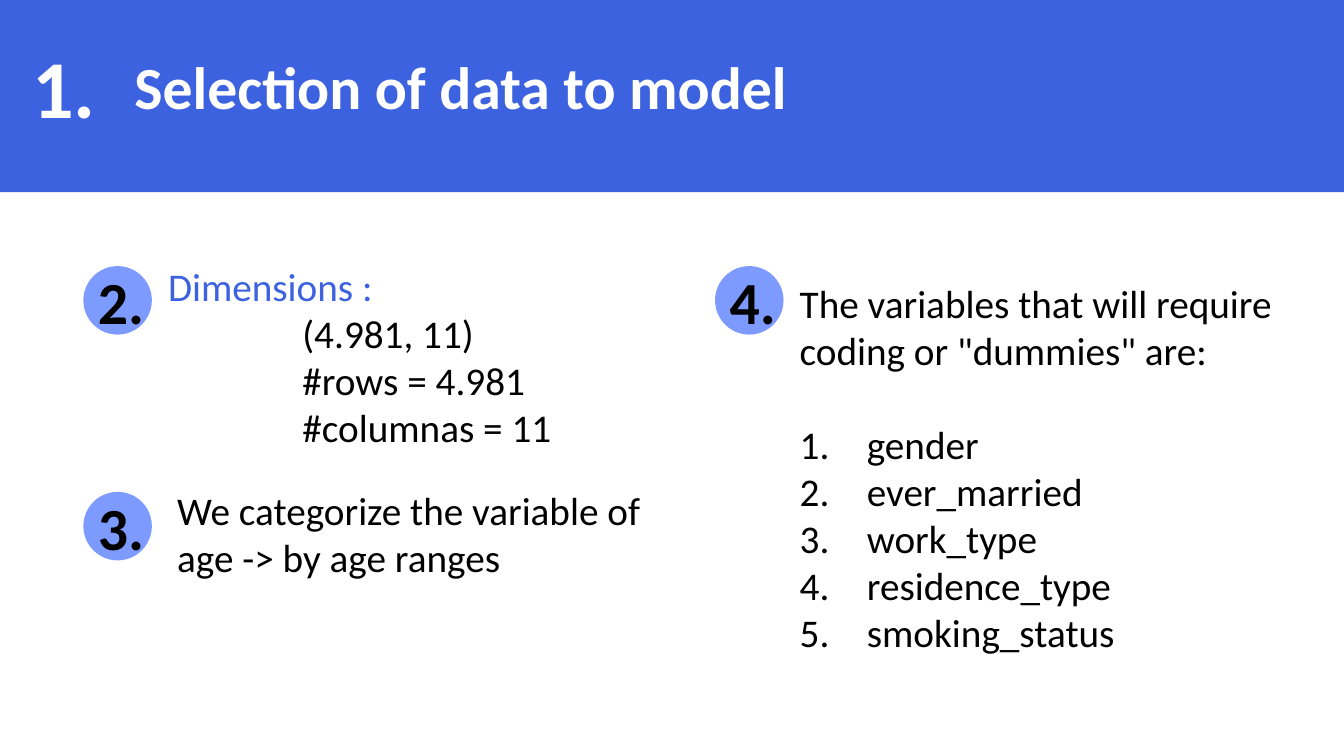
from lxml import etree
from pptx import Presentation
from pptx.dml.color import RGBColor
from pptx.enum.shapes import MSO_SHAPE as SHAPE
from pptx.enum.text import MSO_ANCHOR as ANCHOR, MSO_AUTO_SIZE as AUTO, PP_ALIGN as ALIGN
from pptx.oxml.ns import qn
from pptx.util import Inches, Pt

BLUE, LIGHT_BLUE, WHITE, BLACK = "3C62E0", "7D9AFF", "FFFFFF", "000000"

prs = Presentation()
prs.slide_width, prs.slide_height = Inches(10), Inches(10 * 9 / 16)
s = prs.slides.add_slide(prs.slide_layouts[3])  # Two Content


def add_filled(kind, x, y, w, h, color):
    sp = s.shapes.add_shape(kind, Inches(x), Inches(y), Inches(w), Inches(h))
    sp.shadow.inherit = False
    sp.fill.solid()
    sp.fill.fore_color.rgb = RGBColor.from_string(color)
    sp.line.fill.background()
    return sp


def write(sp, box, lines, size, color=BLACK, bold=False, inset=0.1):
    """Place a text shape and fill it with one unbulleted paragraph per line."""
    sp.left, sp.top, sp.width, sp.height = [Inches(v) for v in box]
    tf = sp.text_frame
    tf.word_wrap, tf.auto_size, tf.vertical_anchor = True, AUTO.NONE, ANCHOR.TOP
    tf.margin_left = tf.margin_right = Inches(0.1)
    tf.margin_top = tf.margin_bottom = Inches(inset)
    tf.text = "\n".join(lines)
    for p in tf.paragraphs:
        p.alignment = ALIGN.LEFT
        p.space_before = Pt(0)
        p.font.name, p.font.size, p.font.bold = "Calibri", Pt(size), bold
        p.font.color.rgb = RGBColor.from_string(color)
        pPr = p._p.get_or_add_pPr()
        pPr.set("marL", "0")
        pPr.set("indent", "0")
        pPr.find(qn("a:defRPr")).addprevious(etree.Element(qn("a:buNone")))
    return tf


# Header band, behind the title placeholder
band = add_filled(SHAPE.RECTANGLE, 0, 0, 10, 1.43, BLUE)
s.shapes._spTree.insert(2, band._element)
write(s.shapes.title, (0.9, 0.32, 5.63, 0.64), ["Selection of data to model"],
      32, WHITE, True, 0.05)
write(s.shapes.add_textbox(0, 0, 0, 0), (0.14, 0.22, 0.68, 0.84), ["1."],
      44, WHITE, True, 0.05)

# Numbered circles
for number, x, y in [("2.", 0.62, 1.98), ("3.", 0.62, 3.66), ("4.", 5.32, 1.98)]:
    add_filled(SHAPE.OVAL, x, y, 0.51, 0.51, LIGHT_BLUE)
    write(s.shapes.add_textbox(0, 0, 0, 0), (x + 0.01, y - 0.11, 0.59, 0.51),
          [number], 32, bold=True)

# Dimensions: coloured heading, indented values
tf = write(s.placeholders[1], (1.15, 1.85, 3.85, 1.5),
           ["Dimensions :", "(4.981, 11)", "#rows = 4.981", "#columnas = 11"], 21)
tf.paragraphs[0].font.color.rgb = RGBColor.from_string(BLUE)
for p in tf.paragraphs[1:]:
    p._p.pPr.set("marL", str(Inches(1)))

write(s.shapes.add_textbox(0, 0, 0, 0), (1.22, 3.52, 3.7, 0.83),
      ["We categorize the variable of age -> by age ranges"], 21)

# Variables to encode: introduction, then a numbered list
variables = ["gender", "ever_married", "work_type", "residence_type", "smoking_status"]
tf = write(s.placeholders[2], (5.85, 1.98, 3.76, 3),
           ['The variables that will require coding or "dummies" are:'] + variables, 21)
for p in tf.paragraphs[1:]:
    pPr = p._p.pPr
    pPr.set("marL", str(Inches(0.5)))
    pPr.set("indent", str(Inches(-0.5)))
    numbering = etree.Element(qn("a:buAutoNum"), type="arabicPeriod")
    pPr.replace(pPr.find(qn("a:buNone")), numbering)
tf.paragraphs[1].space_before = Pt(25)

prs.save("out.pptx")
